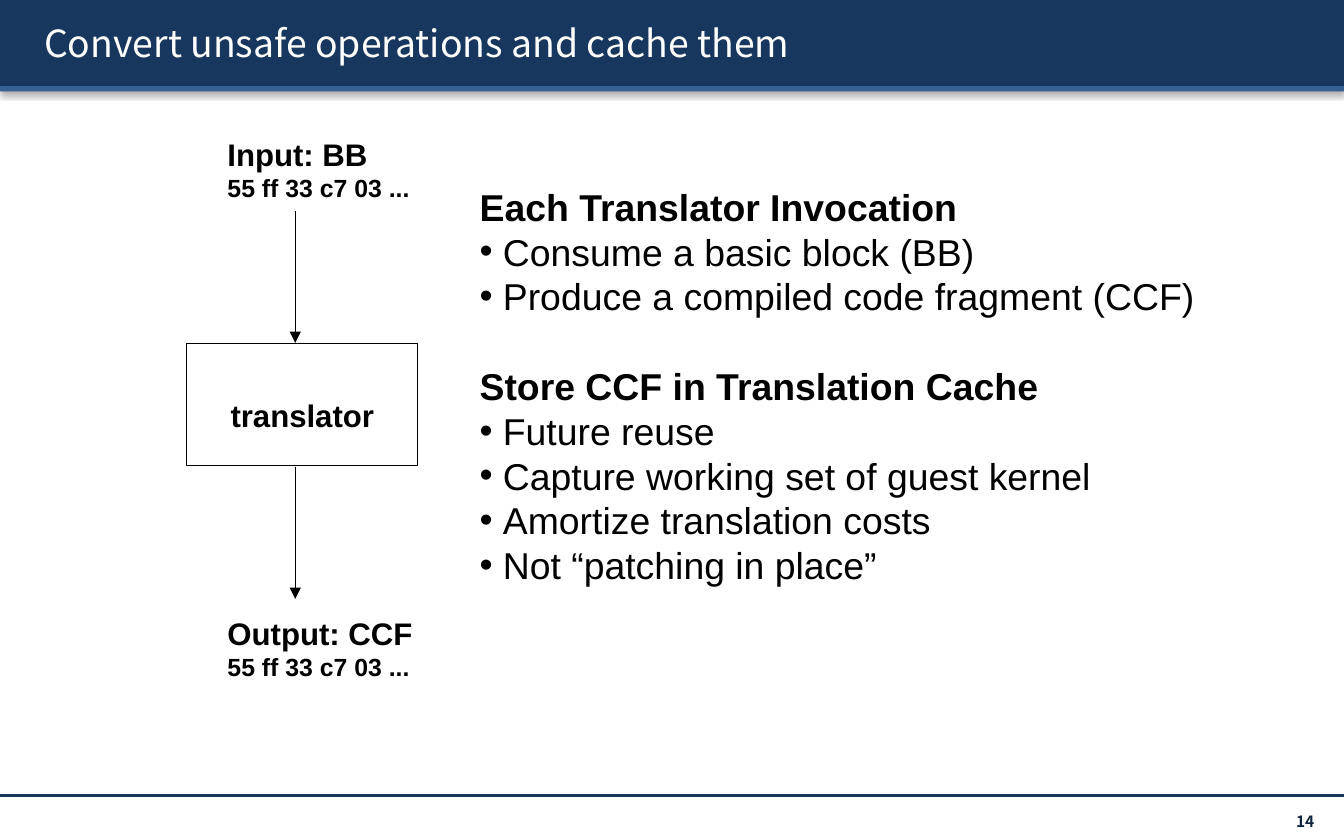
from lxml.etree import SubElement
from pptx import Presentation
from pptx.dml.color import RGBColor
from pptx.enum.shapes import MSO_CONNECTOR, MSO_SHAPE
from pptx.enum.text import MSO_ANCHOR, MSO_AUTO_SIZE, PP_ALIGN
from pptx.oxml.ns import qn
from pptx.util import Cm, Pt

COLORS = {"navy": "17375E", "blue": "376092", "number": "0F243E",
          "white": "FFFFFF", "black": "000000"}
RGB = {name: RGBColor.from_string(value) for name, value in COLORS.items()}
HEADING_FONT, BODY_FONT = "Noto Sans CJK KR", "Arial"


def write(paragraph, text, color="black", **font_format):
    run = paragraph.add_run()
    run.text = text
    run.font.color.rgb = RGB[color]
    for name, value in font_format.items():
        setattr(run.font, name, value)
    return run


def add_drop_shadow(effects, blur, distance, opacity):
    """Fill an a:effectLst element with a black shadow falling downwards."""
    shadow = SubElement(effects, qn("a:outerShdw"), blurRad=str(Pt(blur)),
                        dist=str(Pt(distance)), dir="5400000", rotWithShape="0")
    black = SubElement(shadow, qn("a:srgbClr"), val=COLORS["black"])
    SubElement(black, qn("a:alpha"), val=str(opacity * 1000))


prs = Presentation()
prs.slide_width, prs.slide_height = Cm(25.4), Cm(15.88)
slide = prs.slides.add_slide(prs.slide_layouts[1])
shapes = slide.shapes
title, points = slide.placeholders[0], slide.placeholders[1]

# Header bars, behind the title
for position, (top, height, color) in enumerate([(0, 1.63, "navy"), (1.63, 0.1, "blue")]):
    bar = shapes.add_shape(MSO_SHAPE.RECTANGLE, 0, Cm(top), prs.slide_width, Cm(height))
    bar.fill.solid()
    bar.fill.fore_color.rgb = RGB[color]
    bar.line.fill.background()
    bar.shadow.inherit = False
    add_drop_shadow(bar._element.spPr.find(qn("a:effectLst")), 3.1, 1.6, 38)
    shapes._spTree.insert(2 + position, bar._element)

# Title
title.left, title.top, title.width, title.height = Cm(0.58), Cm(0.13), Cm(24.4), Cm(1.35)
title_format = {"vertical_anchor": MSO_ANCHOR.MIDDLE, "auto_size": MSO_AUTO_SIZE.NONE}
for name, value in title_format.items():
    setattr(title.text_frame, name, value)
title_line = title.text_frame.paragraphs[0]
title_line.alignment = PP_ALIGN.LEFT
heading = write(title_line, "Convert unsafe operations and cache them", "white",
                size=Pt(20), name=HEADING_FONT)
title_effects = heading._r.rPr.makeelement(qn("a:effectLst"))
heading._r.rPr.find(qn("a:solidFill")).addnext(title_effects)
add_drop_shadow(title_effects, 3, 2, 100)

# Points: headings with bulleted lists
sections = {
    "Each Translator Invocation": [
        "Consume a basic block (BB)",
        "Produce a compiled code fragment (CCF)",
    ],
    "Store CCF in Translation Cache": [
        "Future reuse",
        "Capture working set of guest kernel",
        "Amortize translation costs",
        "Not “patching in place”",
    ],
}
points.left, points.top, points.width, points.height = Cm(8.81), Cm(3.35), Cm(14.2), Cm(7.95)
points.text_frame.auto_size = MSO_AUTO_SIZE.NONE
line_height = Pt(24)
hanging = Cm(0.44)
paragraph = points.text_frame.paragraphs[0]
for number, (section, items) in enumerate(sections.items()):
    for index, text in enumerate([section, *items]):
        if number or index:
            paragraph = points.text_frame.add_paragraph()
        is_heading = index == 0
        indent = 0 if is_heading else hanging
        properties = paragraph._p.get_or_add_pPr()
        properties.set("marL", str(indent))
        properties.set("indent", str(-indent))
        if is_heading:
            SubElement(properties, qn("a:buNone"))
        else:
            SubElement(properties, qn("a:buFont"), typeface=BODY_FONT)
            SubElement(properties, qn("a:buChar"), char="•")
        paragraph.line_spacing = line_height
        paragraph.space_before = line_height if is_heading and number else Pt(0)
        write(paragraph, text, size=Pt(20), name=BODY_FONT, bold=is_heading)

# Translator box
translator = shapes.add_shape(MSO_SHAPE.RECTANGLE, Cm(3.53), Cm(6.5), Cm(4.37), Cm(2.31))
translator.fill.background()
translator.line.color.rgb = RGB["black"]
translator.line.width = Pt(0.5)
translator.shadow.inherit = False
translator_format = {"margin_top": Cm(0.38), "margin_bottom": 0,
                     "vertical_anchor": MSO_ANCHOR.MIDDLE}
for name, value in translator_format.items():
    setattr(translator.text_frame, name, value)
translator_line = translator.text_frame.paragraphs[0]
translator_line.alignment = PP_ALIGN.CENTER
write(translator_line, "translator", size=Pt(16.7), name=BODY_FONT, bold=True)

# Code going in and coming out
code_format = {"word_wrap": True, "margin_left": Cm(0.2), "margin_right": Cm(0.2),
               "margin_top": Cm(0.1), "margin_bottom": Cm(0.1)}
for top, label in [(2.46, "Input: BB"), (11.51, "Output: CCF")]:
    code = shapes.add_textbox(Cm(4.1), Cm(top), Cm(4.5), Cm(1.45)).text_frame
    for name, value in code_format.items():
        setattr(code, name, value)
    write(code.paragraphs[0], label, size=Pt(16.7), name=BODY_FONT, bold=True)
    write(code.add_paragraph(), "55 ff 33 c7 03 ...", size=Pt(13.3),
          name=BODY_FONT, bold=True)

# Flow arrows and footer rule
flow_x = 5.58
lines = [
    ((flow_x, 3.99), (flow_x, 6.48), "black", 0.75, True),
    ((flow_x, 8.82), (flow_x, 11.32), "black", 0.75, True),
    ((0, 15.04), (25.4, 15.04), "navy", 2, False),
]
for start, end, color, width, has_head in lines:
    connector = shapes.add_connector(MSO_CONNECTOR.STRAIGHT, *map(Cm, start + end))
    connector.line.color.rgb = RGB[color]
    connector.line.width = Pt(width)
    outline = connector._element.spPr
    if has_head:
        SubElement(outline.find(qn("a:ln")), qn("a:tailEnd"), type="triangle")
    SubElement(outline, qn("a:effectLst"))

# Page number
page = shapes.add_textbox(Cm(22.12), Cm(15.27), Cm(2.97), Cm(0.51)).text_frame
page_format = {"word_wrap": True, "margin_top": 0, "margin_bottom": 0,
               "vertical_anchor": MSO_ANCHOR.MIDDLE}
for name, value in page_format.items():
    setattr(page, name, value)
page.paragraphs[0].alignment = PP_ALIGN.RIGHT
write(page.paragraphs[0], "14", "number", size=Pt(8.3), name=HEADING_FONT, bold=True)

prs.save("out.pptx")
